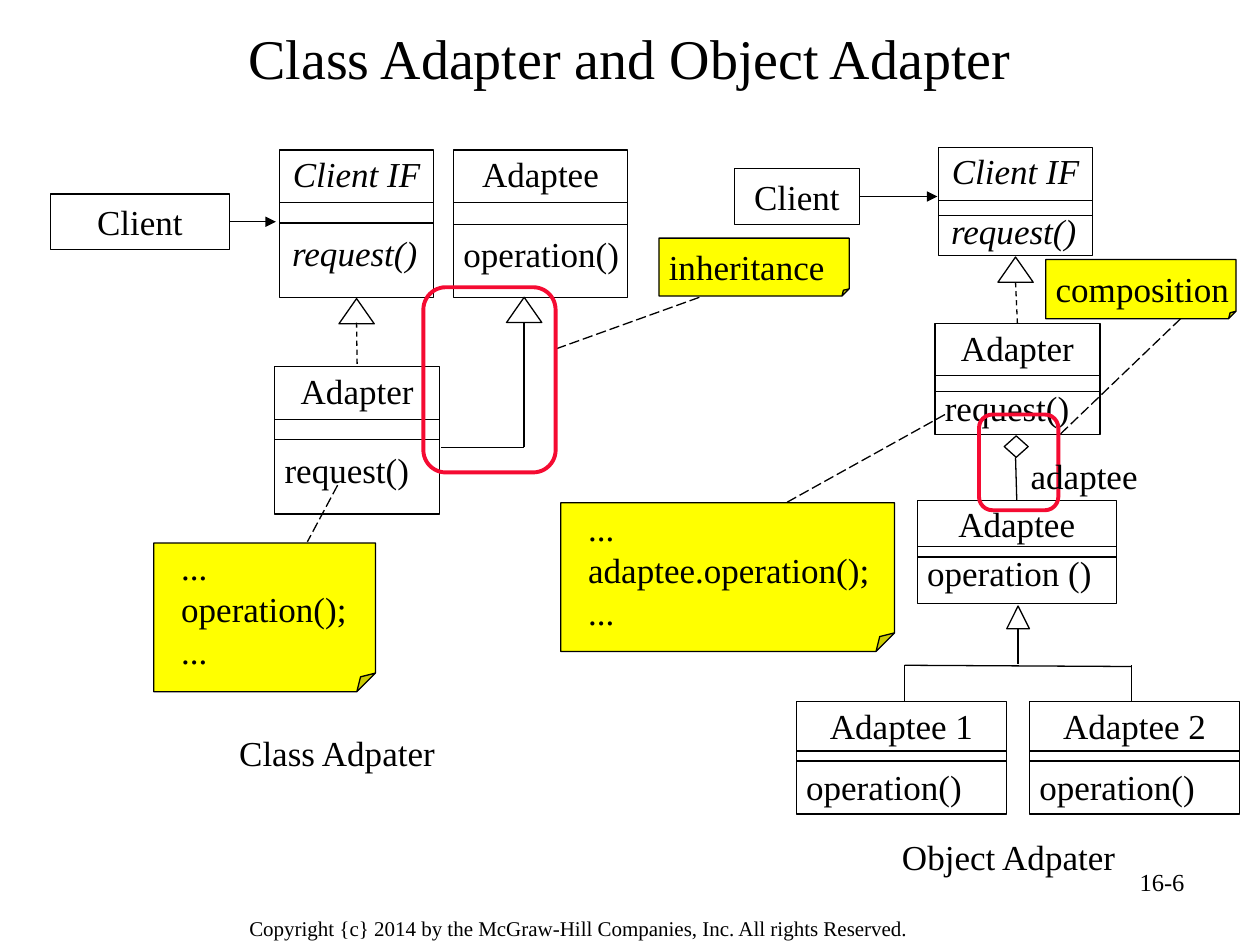
from lxml import etree
from pptx import Presentation, util as u
from pptx.dml.color import RGBColor
from pptx.enum import dml, shapes, text
from pptx.oxml.ns import qn

COLORS = {"ink": "000000", "note": "FFFF00", "frame": "F50B32"}
FONT = "Times New Roman"
SHAPE = shapes.MSO_SHAPE
LEFT, CENTER, RIGHT = text.PP_ALIGN.LEFT, text.PP_ALIGN.CENTER, text.PP_ALIGN.RIGHT
DASH, LONG_DASH = dml.MSO_LINE.DASH, dml.MSO_LINE.LONG_DASH
LINE_H = 0.44  # height of a one-line text box

# All places are in inches; cm() turns them into Cm.
# key: name, member, box, offsets of the two dividers, member offset from second, italic
classes = {
    "class target": ("Client IF", "request()", (2.22, 1.19, 1.22, 1.17), (0.42, 0.58), 0.02, True),
    "class adaptee": ("Adaptee", "operation()", (3.6, 1.19, 1.38, 1.17), (0.42, 0.59), 0.02, False),
    "class adapter": ("Adapter", "request()", (2.18, 2.91, 1.31, 1.17), (0.42, 0.58), 0.02, False),
    "object target": ("Client IF", "request()", (7.45, 1.17, 1.22, 0.86), (0.42, 0.54), -0.1, True),
    "object adapter": ("Adapter", "request()", (7.42, 2.57, 1.31, 0.88), (0.41, 0.54), -0.09, False),
    "object adaptee": ("Adaptee", "operation ()", (7.28, 3.97, 1.58, 0.82), (0.37, 0.45), -0.09, False),
    "adaptee 1": ("Adaptee 1", "operation()", (6.32, 5.57, 1.67, 0.89), (0.39, 0.47), -0.01, False),
    "adaptee 2": ("Adaptee 2", "operation()", (8.17, 5.57, 1.67, 0.89), (0.39, 0.47), -0.01, False),
}
# client box, arrow tip
clients = [
    ((0.4, 1.54, 1.42, 0.44), (2.19, 1.76)),
    ((5.83, 1.34, 0.99, 0.44), (7.44, 1.56)),
]
# lines of the note, folded sheet, place of the text
notes = [
    (["...", "operation();", "..."], (1.22, 4.31, 1.76, 1.18), (1.34, 4.28, 1.6, 1.1)),
    (["...", "adaptee.operation();", "..."], (4.45, 3.99, 2.65, 1.18), (4.57, 3.97, 2.5, 1.1)),
    (["inheritance"], (5.23, 1.89, 1.51, 0.46), (5.21, 1.9, 1.56, LINE_H)),
    (["composition"], (8.3, 2.06, 1.51, 0.47), (8.28, 2.07, 1.72, LINE_H)),
]
# text, box, size, alignment
captions = [
    ("Class Adapter and Object Adapter", (0.5, 0.08, 9, 0.75), 32, CENTER),
    ("Class Adpater", (1.74, 5.76, 1.87, LINE_H), 20, CENTER),
    ("Object Adpater", (7.0, 6.58, 2.01, LINE_H), 20, CENTER),
    ("adaptee", (8.08, 3.56, 1.05, LINE_H), 20, CENTER),
    ("16-6", (7.17, 6.83, 2.33, 0.52), 14, RIGHT),
    ("Copyright {c} 2014 by the McGraw-Hill Companies, Inc. All rights Reserved.",
     (1.88, 7.22, 6.19, 0.31), 12, LEFT),
]
symbols = [
    (SHAPE.ISOSCELES_TRIANGLE, (2.69, 2.37, 0.28, 0.2)),
    (SHAPE.ISOSCELES_TRIANGLE, (4.02, 2.36, 0.28, 0.2)),
    (SHAPE.ISOSCELES_TRIANGLE, (7.92, 2.04, 0.28, 0.2)),
    (SHAPE.ISOSCELES_TRIANGLE, (7.99, 4.81, 0.18, 0.18)),
    (SHAPE.DIAMOND, (7.97, 3.46, 0.19, 0.17)),
]
# start, end, dash, class whose top the line meets
relations = [
    ((2.83, 2.56), (2.83, 2.91), DASH, "class adapter"),
    ((8.06, 2.24), (8.07, 2.57), DASH, "object adapter"),
    ((8.06, 3.63), (8.07, 3.97), None, "object adaptee"),
    ((4.16, 2.56), (4.16, 3.55), None, None),
    ((4.16, 3.55), (3.5, 3.55), None, None),
    ((8.08, 4.99), (8.08, 5.27), None, None),
    ((7.18, 5.28), (8.98, 5.29), None, None),
    ((7.18, 5.28), (7.18, 5.56), None, None),
    ((8.98, 5.28), (8.98, 5.56), None, None),
    ((2.68, 3.85), (2.44, 4.3), LONG_DASH, None),
    ((7.5, 3.29), (6.24, 3.99), LONG_DASH, None),
    ((5.55, 2.36), (4.41, 2.77), LONG_DASH, None),
    ((9.37, 2.53), (8.4, 3.46), LONG_DASH, None),
]
frames = [(3.36, 2.28, 1.05, 1.47), (7.77, 3.29, 0.63, 0.76)]

deck = Presentation()
deck.slide_width, deck.slide_height = u.Cm(25.4), u.Cm(19.05)
slide = deck.slides.add_slide(deck.slide_layouts[6])


def cm(*inches):
    return [u.Cm(value * 2.54) for value in inches]


def color(key):
    return RGBColor.from_string(COLORS[key])


def write(frame, lines, size=20, align=LEFT, italic=False, anchor=text.MSO_ANCHOR.TOP):
    frame.word_wrap = True
    frame.vertical_anchor = anchor
    frame.margin_left, frame.margin_right, frame.margin_top, frame.margin_bottom = cm(0.1, 0.1, 0.05, 0.05)
    for i, line in enumerate(lines):
        paragraph = frame.add_paragraph() if i else frame.paragraphs[0]
        paragraph.alignment = align
        run = paragraph.add_run()
        run.text = line
        run.font.name, run.font.size, run.font.italic = FONT, u.Pt(size), italic
        run.font.color.rgb = color("ink")


def label(lines, box, **style):
    write(slide.shapes.add_textbox(*cm(*box)).text_frame, lines, **style)


def outline(kind, box, fill=None, line="ink", width=0.75):
    shape = slide.shapes.add_shape(kind, *cm(*box))
    shape.shadow.inherit = False
    if fill:
        shape.fill.solid()
        shape.fill.fore_color.rgb = color(fill)
    else:
        shape.fill.background()
    shape.line.color.rgb = color(line)
    shape.line.width = u.Pt(width)
    return shape


def connect(start, end, dash=None, arrow=False):
    line = slide.shapes.add_connector(shapes.MSO_CONNECTOR.STRAIGHT, *cm(*start, *end))
    line.line.color.rgb = color("ink")
    line.line.width = u.Pt(0.75)
    if dash:
        line.line.dash_style = dash
    properties = line._element.spPr
    if arrow:
        etree.SubElement(properties.find(qn("a:ln")), qn("a:tailEnd"), type="triangle")
    etree.SubElement(properties, qn("a:effectLst"))
    return line


# Folded notes, with a fold of one eighth
for lines, sheet, place in notes:
    note = outline(SHAPE.FOLDED_CORNER, sheet, fill="note")
    geometry = note._element.spPr.find(qn("a:prstGeom"))
    for old in geometry.findall(qn("a:avLst")):
        geometry.remove(old)
    guides = etree.SubElement(geometry, qn("a:avLst"))
    etree.SubElement(guides, qn("a:gd"), name="adj", fmla="val 12500")
    label(lines, place)

# Classes with name, two dividers and one member
class_boxes = {}
for key, (name, member, box, dividers, shift, italic) in classes.items():
    left, top, width, height = box
    class_boxes[key] = outline(SHAPE.RECTANGLE, box)
    for offset in dividers:
        connect((left, top + offset), (left + width, top + offset))
    label([name], (left, top - 0.03, width, LINE_H), align=CENTER, italic=italic)
    member_left = left if italic else left - 0.02
    label([member], (member_left, top + dividers[1] + shift, width + 0.1, LINE_H), italic=italic)

# Clients with their arrows
for box, tip in clients:
    client = outline(SHAPE.RECTANGLE, box)
    write(client.text_frame, ["Client"], align=CENTER)
    connect((box[0] + box[2], tip[1]), tip, arrow=True).begin_connect(client, 3)

# Relations between classes, and leaders to the notes
for kind, box in symbols:
    outline(kind, box)
for start, end, dash, target in relations:
    relation = connect(start, end, dash)
    if target:
        relation.end_connect(class_boxes[target], 0)

# Red frames around the two mechanisms
for box in frames:
    outline(SHAPE.ROUNDED_RECTANGLE, box, line="frame", width=2.25).adjustments[0] = 0.17

# Title, captions and footer
for caption, box, size, align in captions:
    anchor = text.MSO_ANCHOR.MIDDLE if size == 32 else text.MSO_ANCHOR.TOP
    label([caption], box, size=size, align=align, anchor=anchor)

deck.save("out.pptx")
